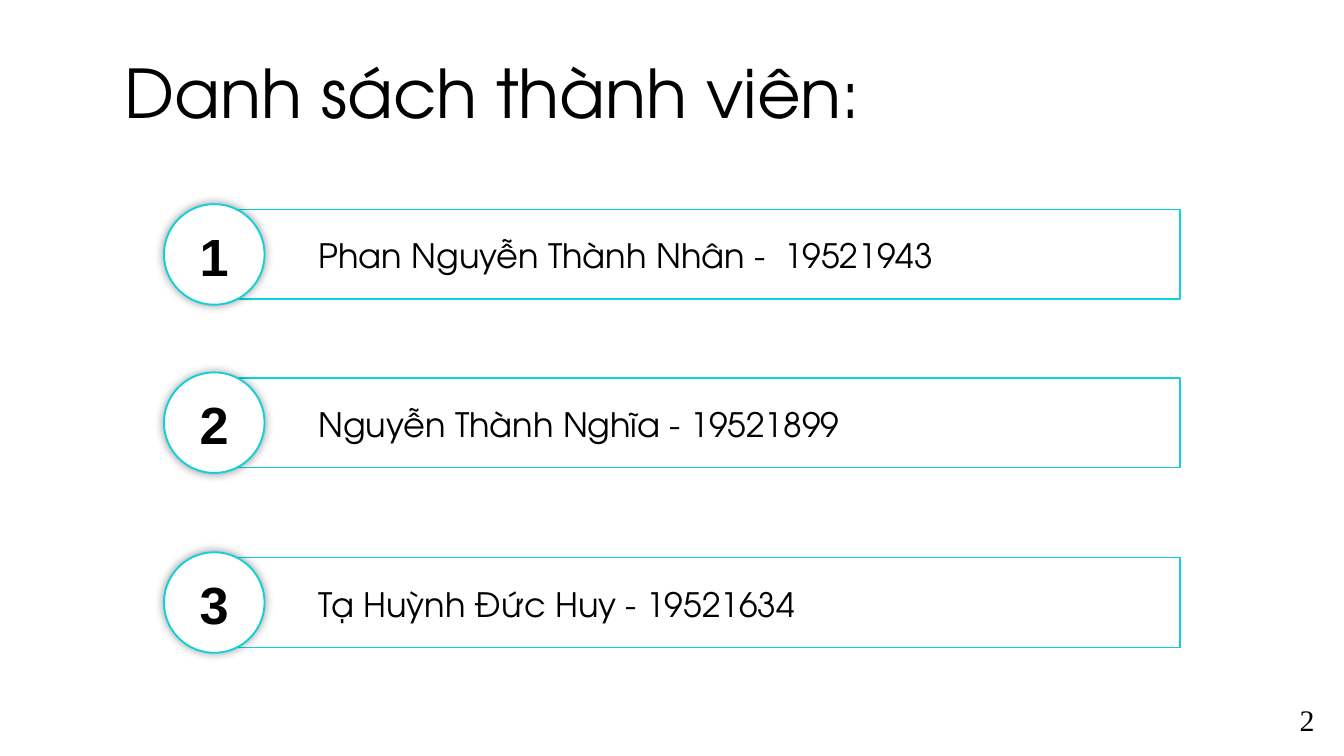
from lxml import etree
from pptx import Presentation
from pptx.dml.color import RGBColor
from pptx.enum.shapes import MSO_SHAPE
from pptx.enum.text import MSO_ANCHOR, PP_ALIGN
from pptx.oxml.ns import qn
from pptx.util import Cm, Pt

RECTANGLE, OVAL = MSO_SHAPE.RECTANGLE, MSO_SHAPE.OVAL
TOP, MIDDLE = MSO_ANCHOR.TOP, MSO_ANCHOR.MIDDLE
LEFT, CENTER = PP_ALIGN.LEFT, PP_ALIGN.CENTER


def color(value):
    return RGBColor.from_string(value)


class MemberPage:
    accent = "0DD2D9"
    ink = "000000"
    paper = "FFFFFF"
    heading_font = "TeX Gyre Adventor"
    number_font = "Arial"
    footer_font = "Times New Roman"

    def __init__(self, page):
        self.page = page
        page.background.fill.solid()
        page.background.fill.fore_color.rgb = color(self.paper)

    def text(self, words, left, top, width, height, size, font,
             bold=False, align=LEFT, anchor=MIDDLE, wrap=True):
        box = self.page.shapes.add_textbox(Cm(left), Cm(top), Cm(width), Cm(height))
        frame = box.text_frame
        frame.word_wrap = wrap
        frame.vertical_anchor = anchor
        frame.text = words
        para = frame.paragraphs[0]
        para.alignment = align
        span = para.runs[0]
        span.font.name = font
        span.font.size = Pt(size)
        span.font.bold = bold
        span.font.color.rgb = color(self.ink)

    def outline(self, kind, left, top, width, height):
        shape = self.page.shapes.add_shape(kind, Cm(left), Cm(top), Cm(width), Cm(height))
        shape.shadow.inherit = False
        shape.fill.background()
        shape.line.color.rgb = color(self.accent)
        shape.line.width = Pt(1)
        return shape

    def glow_circle(self, left, top, size):
        circle = self.outline(OVAL, left, top, size, size)
        circle.fill.solid()
        circle.fill.fore_color.rgb = color(self.paper)
        effects = circle.element.spPr.find(qn("a:effectLst"))
        shadow = etree.SubElement(effects, qn("a:outerShdw"), blurRad=str(Pt(5)),
                                  dist="0", dir="0", algn="ctr", rotWithShape="0")
        tint = etree.SubElement(shadow, qn("a:srgbClr"), val=self.ink)
        etree.SubElement(tint, qn("a:alpha"), val="40000")

    def member(self, number, name, top):
        self.outline(RECTANGLE, 4.04, top, 18.26, 1.7)
        self.text(name, 5.77, top + 0.36, 15.95, 1.02, 18, self.heading_font)
        self.glow_circle(3.1, top - 0.1, 1.9)
        self.text(str(number), 3.45, top + 0.15, 1.2, 1.45, 28, self.number_font,
                  bold=True, align=CENTER)


deck = Presentation()
deck.slide_width, deck.slide_height = Cm(25.4), Cm(14.29)
sheet = MemberPage(deck.slides.add_slide(deck.slide_layouts[6]))

sheet.text("Danh sách thành viên:", 2.11, 0.94, 23.29, 1.6, 36, sheet.heading_font)

members = [
    ("Phan Nguyễn Thành Nhân -  19521943", 3.96),
    ("Nguyễn Thành Nghĩa - 19521899", 7.14),
    ("Tạ Huỳnh Đức Huy - 19521634", 10.54),
]
for number, (name, top) in enumerate(members, start=1):
    sheet.member(number, name, top)

sheet.text("2", 24.31, 13.13, 0.79, 0.94, 16, sheet.footer_font, anchor=TOP, wrap=False)

deck.save("out.pptx")
